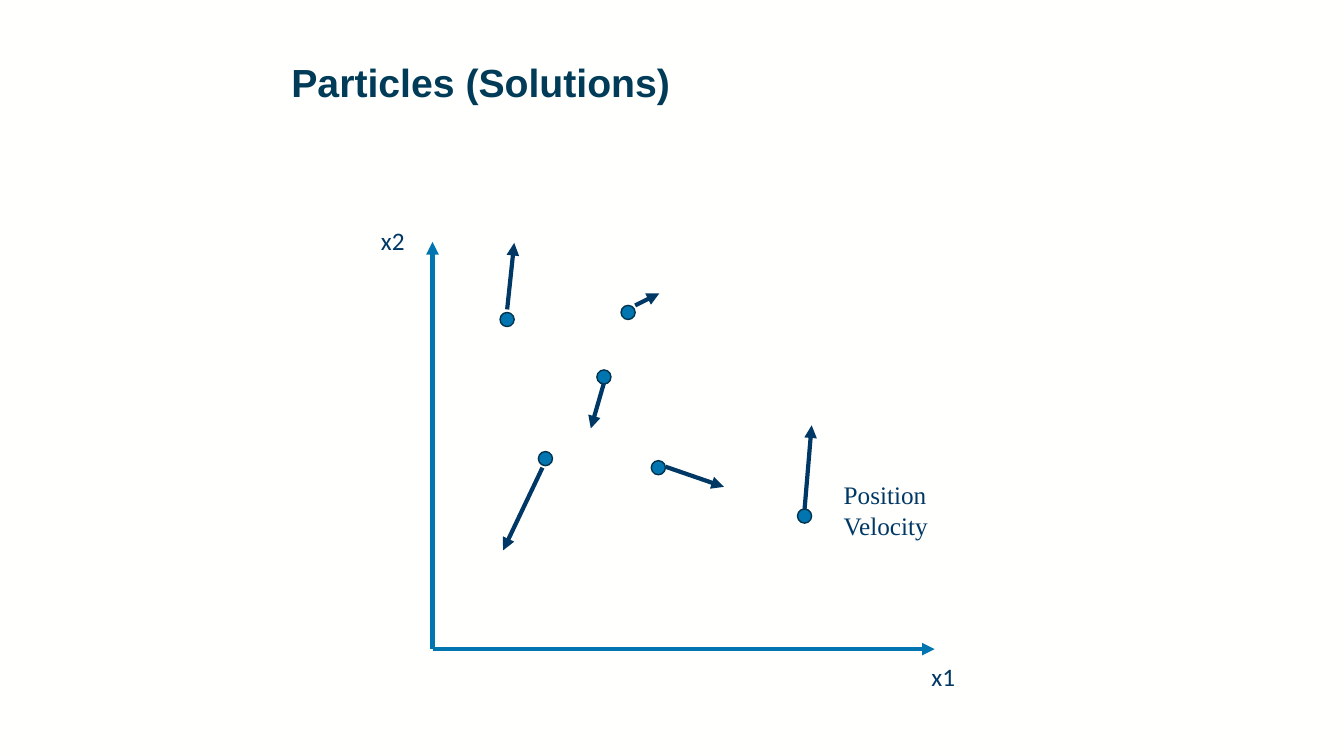
from dataclasses import dataclass

from pptx import Presentation
from pptx.dml.color import RGBColor
from pptx.enum.shapes import MSO_CONNECTOR, MSO_SHAPE
from pptx.enum.text import MSO_ANCHOR, PP_ALIGN
from pptx.oxml.ns import qn
from pptx.util import Inches, Pt
from lxml.etree import SubElement


@dataclass(frozen=True)
class Theme:
    background: RGBColor = RGBColor(0xFF, 0xFF, 0xFE)
    title: RGBColor = RGBColor(0x00, 0x3B, 0x58)
    ink: RGBColor = RGBColor(0x00, 0x38, 0x65)
    accent: RGBColor = RGBColor(0x00, 0x75, 0xB0)
    outline: RGBColor = RGBColor(0x00, 0x33, 0x4D)
    title_size: Pt = Pt(28)
    label_size: Pt = Pt(18)
    arrow_width: Pt = Pt(3)
    outline_width: Pt = Pt(1)


THEME = Theme()
DOT_SIZE = 0.14
ORIGIN = (4.29, 6.44)
AXIS_ENDS = [(9.27, 6.44), (4.29, 2.4)]

# Each particle: left and top of its dot, then start and end of its velocity
PARTICLES = [
    ((4.96, 3.1), (5.03, 3.07), (5.1, 2.41)),
    ((6.16, 3.03), (6.3, 3.03), (6.54, 2.91)),
    ((5.34, 4.48), (5.38, 4.64), (4.99, 5.46)),
    ((5.92, 3.67), (5.99, 3.8), (5.86, 4.25)),
    ((6.46, 4.57), (6.6, 4.63), (7.18, 4.83)),
    ((7.91, 5.05), (7.98, 5.05), (8.05, 4.22)),
]

# Each label: text, font, and left, top, width, height
LABELS = [
    ("Position\nVelocity", "Times New Roman", (8.27, 4.71, 1.53, 0.71)),
    ("x1", "Calibri", (9.14, 6.51, 0.72, 0.4)),
    ("x2", "Calibri", (3.68, 2.19, 0.72, 0.4)),
]


def style_font(font, name, size, color, bold=False):
    font.name, font.size, font.bold = name, size, bold
    font.color.rgb = color


def set_title(slide, text):
    title = slide.shapes.title
    title.left, title.top = Inches(2.79), Inches(0.58)
    title.width, title.height = Inches(10.07), Inches(0.97)
    frame = title.text_frame
    frame.text = text
    frame.vertical_anchor = MSO_ANCHOR.TOP
    heading = frame.paragraphs[0]
    heading.alignment = PP_ALIGN.LEFT
    heading.line_spacing = 0.9
    style_font(heading.runs[0].font, "Arial", THEME.title_size, THEME.title, bold=True)


def add_arrow(slide, start, end, color):
    arrow = slide.shapes.add_connector(
        MSO_CONNECTOR.STRAIGHT, *(Inches(v) for v in (*start, *end)))
    arrow.line.color.rgb = color
    arrow.line.width = THEME.arrow_width
    SubElement(arrow.line._get_or_add_ln(), qn("a:tailEnd"), type="triangle")
    SubElement(arrow._element.spPr, qn("a:effectLst"))


def add_dot(slide, corner):
    left, top = corner
    dot = slide.shapes.add_shape(
        MSO_SHAPE.OVAL, Inches(left), Inches(top), Inches(DOT_SIZE), Inches(DOT_SIZE))
    dot.shadow.inherit = False
    dot.fill.solid()
    dot.fill.fore_color.rgb = THEME.accent
    dot.line.color.rgb = THEME.outline
    dot.line.width = THEME.outline_width


def add_label(slide, text, font_name, box):
    frame = slide.shapes.add_textbox(*(Inches(v) for v in box)).text_frame
    frame.word_wrap = True
    frame.text = text
    for paragraph in frame.paragraphs:
        style_font(paragraph.runs[0].font, font_name, THEME.label_size, THEME.ink)


def main():
    deck = Presentation()
    deck.slide_width, deck.slide_height = Inches(13.33), Inches(7.5)
    slide = deck.slides.add_slide(deck.slide_layouts.get_by_name("Title Only"))
    slide.background.fill.solid()
    slide.background.fill.fore_color.rgb = THEME.background

    set_title(slide, "Particles (Solutions)")

    # Axes
    for axis_end in AXIS_ENDS:
        add_arrow(slide, ORIGIN, axis_end, THEME.accent)

    # Particles with their velocities
    for corner, start, end in PARTICLES:
        add_dot(slide, corner)
        add_arrow(slide, start, end, THEME.ink)

    # Labels
    for text, font_name, box in LABELS:
        add_label(slide, text, font_name, box)

    deck.save("out.pptx")


if __name__ == "__main__":
    main()
